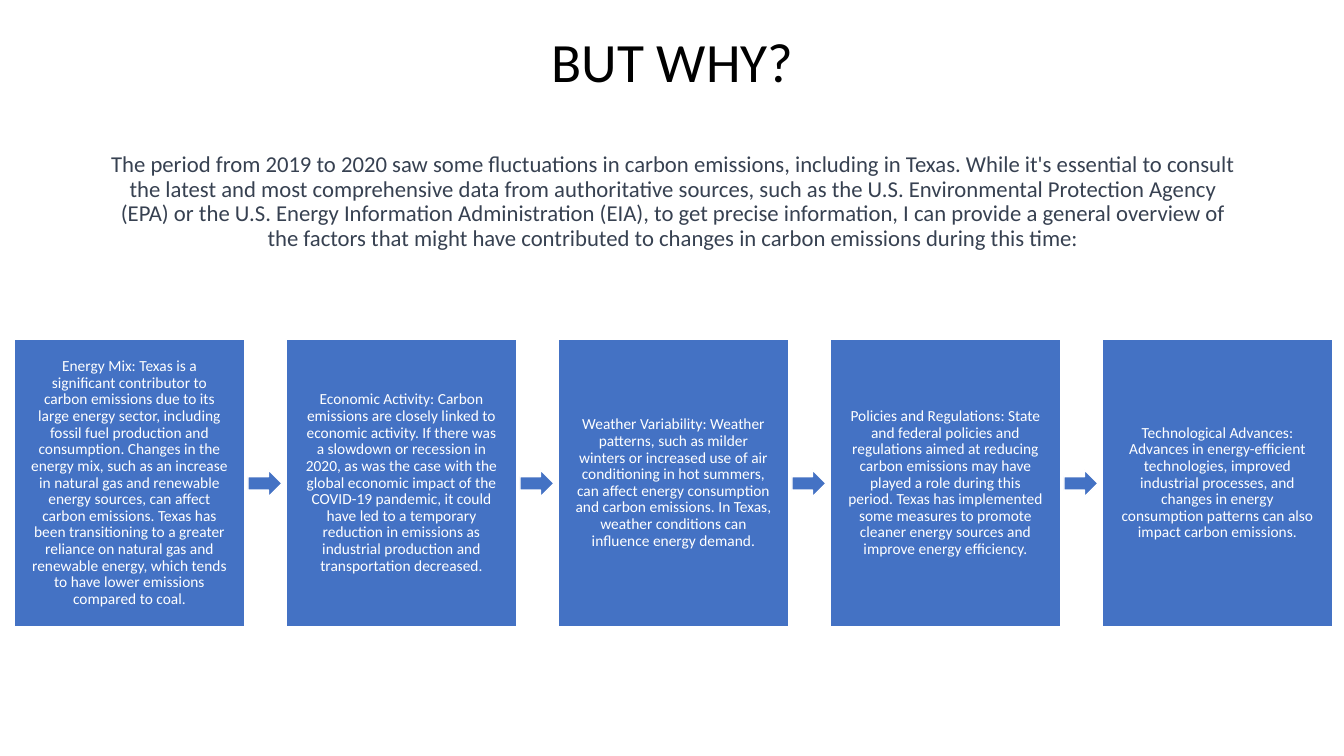
from pptx import Presentation
from pptx.dml.color import RGBColor
from pptx.enum.shapes import MSO_SHAPE
from pptx.enum.text import MSO_ANCHOR, PP_ALIGN
from pptx.util import Pt

EMU_PER_PX = 914400 / 100.8
RECTANGLE = MSO_SHAPE.RECTANGLE
RIGHT_ARROW = MSO_SHAPE.RIGHT_ARROW
MIDDLE = MSO_ANCHOR.MIDDLE
CENTER = PP_ALIGN.CENTER
FONT = "Calibri"
COLORS = {"black": "000000", "slate": "374151", "blue": "4472C4", "white": "FFFFFF"}

FIRST_LEFT = 14
STEP = 272
ARROW_OFFSET = 234

TITLE = "BUT WHY?"
INTRO = (
    "The period from 2019 to 2020 saw some fluctuations in carbon emissions, including in Texas. "
    "While it's essential to consult the latest and most comprehensive data from authoritative "
    "sources, such as the U.S. Environmental Protection Agency (EPA) or the U.S. Energy "
    "Information Administration (EIA), to get precise information, I can provide a general "
    "overview of the factors that might have contributed to changes in carbon emissions during "
    "this time:"
)
FACTORS = [
    "Energy Mix: Texas is a significant contributor to carbon emissions due to its large energy "
    "sector, including fossil fuel production and consumption. Changes in the energy mix, such as "
    "an increase in natural gas and renewable energy sources, can affect carbon emissions. Texas "
    "has been transitioning to a greater reliance on natural gas and renewable energy, which "
    "tends to have lower emissions compared to coal.",
    "Economic Activity: Carbon emissions are closely linked to economic activity. If there was a "
    "slowdown or recession in 2020, as was the case with the global economic impact of the "
    "COVID-19 pandemic, it could have led to a temporary reduction in emissions as industrial "
    "production and transportation decreased.",
    "Weather Variability: Weather patterns, such as milder winters or increased use of air "
    "conditioning in hot summers, can affect energy consumption and carbon emissions. In Texas, "
    "weather conditions can influence energy demand.",
    "Policies and Regulations: State and federal policies and regulations aimed at reducing "
    "carbon emissions may have played a role during this period. Texas has implemented some "
    "measures to promote cleaner energy sources and improve energy efficiency.",
    "Technological Advances: Advances in energy-efficient technologies, improved industrial "
    "processes, and changes in energy consumption patterns can also impact carbon emissions.",
]


def px(length):
    return round(length * EMU_PER_PX)


def color(name):
    return RGBColor.from_string(COLORS[name])


def set_frame(frame, side, top, bottom):
    frame.word_wrap = True
    frame.vertical_anchor = MIDDLE
    frame.margin_left = frame.margin_right = px(side)
    frame.margin_top = px(top)
    frame.margin_bottom = px(bottom)


def write_paragraph(para, text, size, color_name):
    para.text = text
    para.alignment = CENTER
    para.line_spacing = 0.9
    font = para.runs[0].font
    font.name = FONT
    font.size = Pt(size)
    font.color.rgb = color(color_name)


def add_heading(page):
    box = page.shapes.add_textbox(px(93), px(104), px(1159), px(146))
    frame = box.text_frame
    set_frame(frame, 10, 5, 73)
    write_paragraph(frame.paragraphs[0], TITLE, 39.6, "black")
    intro = frame.add_paragraph()
    write_paragraph(intro, INTRO, 16.2, "slate")
    intro.space_before = Pt(42)


def add_blue_shape(page, kind, left, top, width, height):
    shape = page.shapes.add_shape(kind, px(left), px(top), px(width), px(height))
    shape.shadow.inherit = False
    shape.fill.solid()
    shape.fill.fore_color.rgb = color("blue")
    shape.line.color.rgb = color("white")
    shape.line.width = Pt(1)
    return shape


def add_factor(page, left, text):
    box = add_blue_shape(page, RECTANGLE, left, 339, 231, 288)
    set_frame(box.text_frame, 17, 17, 17)
    write_paragraph(box.text_frame.paragraphs[0], text, 11, "white")


def add_arrow(page, left):
    add_blue_shape(page, RIGHT_ARROW, left, 470, 34, 27)


def main():
    deck = Presentation()
    deck.slide_width = px(1344)
    deck.slide_height = px(756)
    page = deck.slides.add_slide(deck.slide_layouts[6])
    add_heading(page)
    for index, text in enumerate(FACTORS):
        left = FIRST_LEFT + index * STEP
        add_factor(page, left, text)
        if index < len(FACTORS) - 1:
            add_arrow(page, left + ARROW_OFFSET)
    deck.save("out.pptx")


if __name__ == "__main__":
    main()
